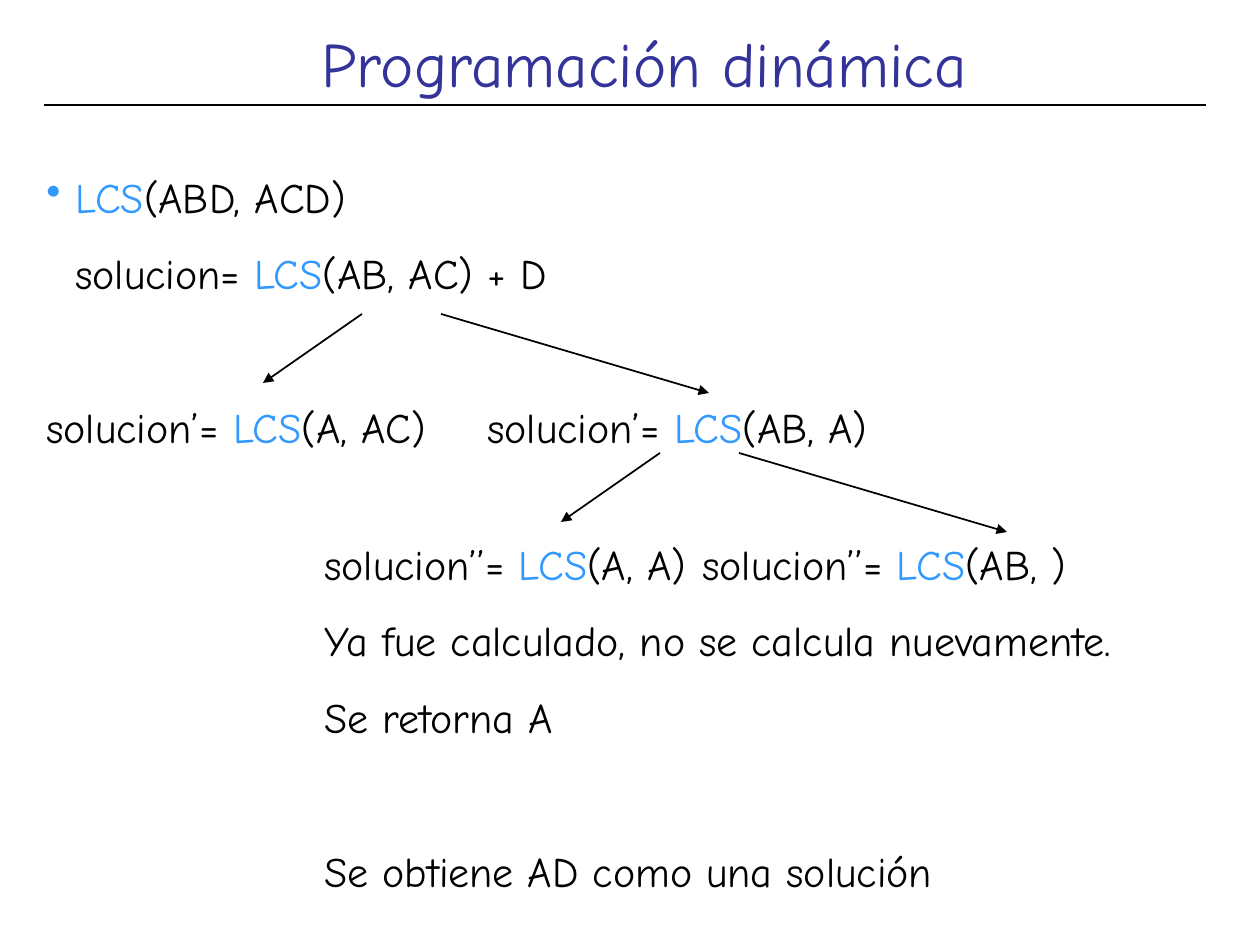
from lxml.etree import SubElement
from pptx import Presentation
from pptx.dml.color import RGBColor
from pptx.enum.shapes import MSO_CONNECTOR as Connector
from pptx.enum.text import MSO_ANCHOR as Anchor, MSO_AUTO_SIZE as AutoSize, PP_ALIGN as Align
from pptx.oxml.ns import qn
from pptx.util import Emu, Pt

COLORS = {"title": "333399", "call": "3399FF", "ink": "000000"}
FONT = "Comic Neue"
CALL = "LCS"
INDENT = 29
GAP = 15
SKIPPED_LINE_GAP = 59


def px(length):
    return Emu(round(length * 914400 / 126))


def color(name):
    return RGBColor.from_string(COLORS[name])


def apply(target, values):
    for name, value in values.items():
        setattr(target, name, value)


class SlideWriter:
    def __init__(self, deck):
        self.page = deck.slides.add_slide(deck.slide_layouts[5])
        self.frame = {"auto_size": AutoSize.NONE, "vertical_anchor": Anchor.TOP}
        self.font = {"name": FONT, "size": Pt(24)}

    def span(self, para, text, ink, **values):
        span = para.add_run()
        span.text = text
        apply(span.font, {**self.font, **values})
        span.font.color.rgb = color(ink)

    def title(self, text, left, top, width, height):
        box = self.page.shapes.title
        apply(box, {"left": px(left), "top": px(top), "width": px(width), "height": px(height)})
        apply(box.text_frame, {**self.frame, "word_wrap": False})
        para = box.text_frame.paragraphs[0]
        para.alignment = Align.LEFT
        self.span(para, text, "title", size=Pt(36))

    def text(self, lines, left, top, width, height):
        box = self.page.shapes.add_textbox(px(left), px(top), px(width), px(height))
        frame = box.text_frame
        apply(frame, {**self.frame, "word_wrap": True})
        for number, (text, style) in enumerate(lines):
            para = frame.add_paragraph() if number else frame.paragraphs[0]
            self.format(para, **style)
            for part, plain in enumerate(text.split(CALL)):
                if part:
                    self.span(para, CALL, "call")
                if plain:
                    self.span(para, plain, "ink")

    def format(self, para, gap=GAP, indent=0, bullet=False, tab=None):
        para.space_before = Pt(gap)
        props = para._p.get_or_add_pPr()
        props.set("marL", str(px(indent)))
        props.set("indent", str(px(-indent if bullet else 0)))
        if bullet:
            shade = SubElement(props, qn("a:buClr"))
            SubElement(shade, qn("a:srgbClr"), val=COLORS["call"])
            SubElement(props, qn("a:buChar"), char="•")
        if tab:
            stops = SubElement(props, qn("a:tabLst"))
            SubElement(stops, qn("a:tab"), pos=str(px(tab)), algn="l")

    def line(self, start, end, width=1, arrow=True):
        points = [px(value) for value in (*start, *end)]
        line = self.page.shapes.add_connector(Connector.STRAIGHT, *points)
        line.line.color.rgb = color("ink")
        line.line.width = Pt(width)
        if arrow:
            SubElement(line.line._get_or_add_ln(), qn("a:tailEnd"), type="triangle")
        SubElement(line._element.spPr, qn("a:effectLst"))

    def fork(self, left, top):
        self.line((left, top), (left - 99, top + 69))
        self.line((left + 79, top), (left + 347, top + 79))


def main():
    deck = Presentation()
    apply(deck, {"slide_width": px(1260), "slide_height": px(945)})
    writer = SlideWriter(deck)
    writer.title("Programación dinámica", 309, 18, 673, 88)
    writer.line((44, 105), (1206, 105), width=0.75, arrow=False)

    first_calls = [
        ("LCS(ABD, ACD)", {"indent": INDENT, "bullet": True}),
        ("solucion= LCS(AB, AC) + D", {"indent": INDENT}),
        ("solucion’= LCS(A, AC)\tsolucion’= LCS(AB, A)", {"gap": SKIPPED_LINE_GAP, "tab": 450}),
    ]
    last_calls = [
        ("solucion’’= LCS(A, A)\tsolucion’’= LCS(AB, )", {"tab": 403}),
        ("Ya fue calculado, no se calcula nuevamente.", {}),
        ("Se retorna A", {}),
        ("Se obtiene AD como una solución", {"gap": SKIPPED_LINE_GAP}),
    ]
    writer.text(first_calls, 34, 165, 1181, 294)
    writer.text(last_calls, 312, 532, 914, 446)

    for left, top in ((362, 314), (660, 453)):
        writer.fork(left, top)
    deck.save("out.pptx")


if __name__ == "__main__":
    main()
